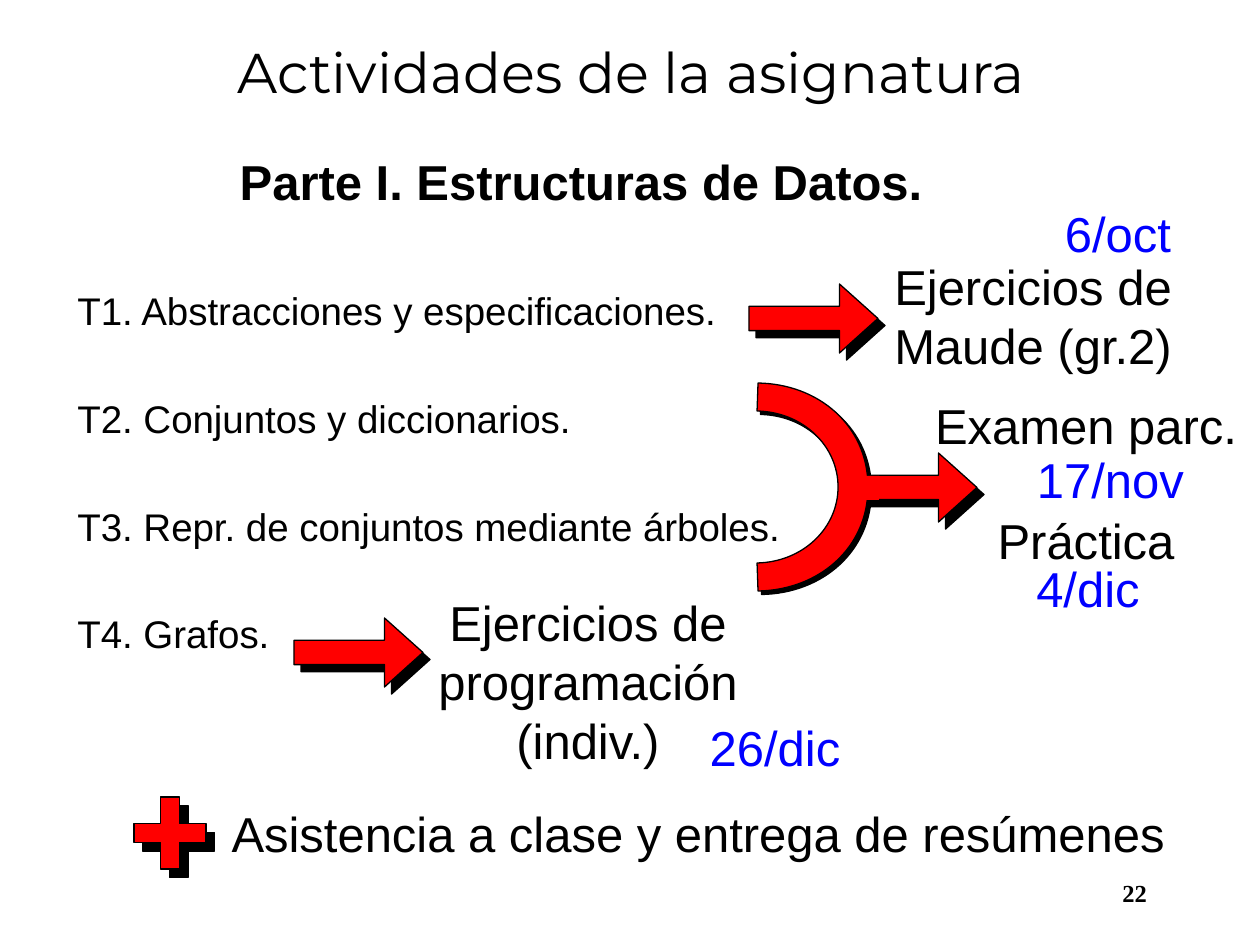
from lxml import etree
from pptx import Presentation
from pptx.dml.color import RGBColor
from pptx.enum.shapes import MSO_SHAPE
from pptx.enum.text import MSO_ANCHOR, PP_ALIGN
from pptx.oxml.ns import qn
from pptx.util import Emu, Pt

BLACK = RGBColor(0, 0, 0)
RED = RGBColor(255, 0, 0)
BLUE = RGBColor(0, 0, 255)
LEFT, MID, RIGHT = PP_ALIGN.LEFT, PP_ALIGN.CENTER, PP_ALIGN.RIGHT
TOP, CENTER = MSO_ANCHOR.TOP, MSO_ANCHOR.MIDDLE
ARROW, CROSS, RECT = MSO_SHAPE.RIGHT_ARROW, MSO_SHAPE.CROSS, MSO_SHAPE.RECTANGLE
SCALE = 914400 / 126


def px(num):
    return Emu(round(num * SCALE))


def apply(item, form):
    for key, val in form.items():
        setattr(item, key, val)


class Deck:
    font = {"name": "Arial", "size": Pt(28), "bold": False}
    para = {"alignment": MID, "line_spacing": Pt(33.8)}
    frame = {"word_wrap": True, "vertical_anchor": TOP}

    def __init__(self, wide, high):
        self.show = Presentation()
        apply(self.show, {"slide_width": px(wide), "slide_height": px(high)})
        self.slide = self.show.slides.add_slide(self.show.slide_layouts[6])
        self.shapes = self.slide.shapes

    def box(self, spot, frame=None):
        body = self.shapes.add_textbox(*map(px, spot)).text_frame
        apply(body, self.frame | (frame or {}))
        return body

    def line(self, par, text, color=BLACK, font=None, para=None):
        apply(par, self.para | (para or {}))
        run = par.add_run()
        run.text = text
        apply(run.font, self.font | (font or {}))
        run.font.color.rgb = color

    def label(self, spot, text, color=BLACK, font=None, para=None, frame=None):
        body = self.box(spot, frame)
        self.line(body.paragraphs[0], text, color, font, para)

    def topics(self, spot, head, items):
        body = self.box(spot)
        self.line(body.paragraphs[0], head, font={"bold": True})
        for i, item in enumerate(items):
            para = {"alignment": LEFT, "line_spacing": Pt(26.5),
                    "space_before": Pt(35 if i else 44)}
            self.line(body.add_paragraph(), item,
                      font={"size": Pt(22)}, para=para)

    def paint(self, shape, drop):
        shape.shadow.inherit = False
        shape.fill.solid()
        shape.fill.fore_color.rgb = RED
        if not drop:
            shape.line.fill.background()
            return
        shape.line.color.rgb = BLACK
        shape.line.width = Pt(0.75)
        root = shape._element.spPr.find(qn("a:effectLst"))
        shade = etree.SubElement(root, qn("a:outerShdw"), dist=str(Pt(drop)),
                                 dir="2700000", algn="ctr", rotWithShape="0")
        etree.SubElement(shade, qn("a:srgbClr"), val=str(BLACK))

    def shape(self, kind, spot, drop=0, adjust=()):
        shape = self.shapes.add_shape(kind, *map(px, spot))
        for i, val in enumerate(adjust):
            shape.adjustments[i] = val
        self.paint(shape, drop)

    def arrow(self, left, top):
        self.shape(ARROW, (left, top, 129, 69), 5.7, (0.352, 0.557))

    def arc(self, spot, inner, outer, drop):
        left, top, wide, high = spot
        pen = self.shapes.build_freeform(left, top, scale=SCALE)
        pen.move_to(left + wide, top + high)
        pen.move_to(*inner[0])
        pen.add_line_segments(inner[1:] + outer, close=True)
        shape = pen.convert_to_shape()
        track = shape._element.spPr.find(".//" + qn("a:path"))
        for move in track.findall(qn("a:moveTo"))[:2]:
            track.remove(move)
        steps = track.findall(qn("a:lnTo"))
        for i in (0, 3, 7, 10):
            curve = etree.Element(qn("a:cubicBezTo"))
            steps[i].addprevious(curve)
            for step in steps[i:i + 3]:
                curve.append(step[0])
                track.remove(step)
        shape.rotation = 90
        self.paint(shape, drop)


def main():
    deck = Deck(1260, 945)
    deck.label((431, 872, 777, 53), "22",
               font={"name": "Times New Roman", "size": Pt(14), "bold": True},
               para={"alignment": RIGHT, "line_spacing": 1.0},
               frame={"margin_right": px(61)})
    deck.label((33, 24, 1197, 95), "Actividades de la asignatura",
               font={"name": "Montserrat", "size": Pt(32)},
               para={"line_spacing": 1.0}, frame={"vertical_anchor": CENTER})
    deck.topics((65, 145, 1032, 566), "Parte I. Estructuras de Datos.", (
        "T1. Abstracciones y especificaciones.",
        "T2. Conjuntos y diccionarios.",
        "T3. Repr. de conjuntos mediante árboles.",
        "T4. Grafos."))
    for left, top in ((749, 284), (848, 453), (294, 618)):
        deck.arrow(left, top)
    deck.arc((650, 373, 208, 228),
             [(678, 484), (679, 438), (713, 403), (754, 403),
              (795, 403), (829, 438), (830, 484)],
             [(858, 483), (857, 422), (815, 373), (754, 373),
              (693, 373), (651, 422), (650, 483)], 2.8)
    deck.shape(RECT, (859, 476, 20, 24))
    deck.shape(CROSS, (134, 797, 72, 72), 7.1, (0.371,))
    for spot, text in (
            ((864, 250, 338, 139), "Ejercicios de Maude (gr.2)"),
            ((912, 389, 348, 76), "Examen parc."),
            ((399, 586, 378, 203), "Ejercicios de programación (indiv.)"),
            ((208, 797, 980, 98), "Asistencia a clase y entrega de resúmenes"),
            ((912, 504, 348, 76), "Práctica")):
        deck.label(spot, text)
    for spot, text in (
            ((1022, 197, 192, 62), "6/oct"),
            ((977, 443, 267, 62), "17/nov"),
            ((669, 711, 212, 62), "26/dic"),
            ((982, 552, 212, 62), "4/dic")):
        deck.label(spot, text, BLUE)
    deck.show.save("out.pptx")


if __name__ == "__main__":
    main()
